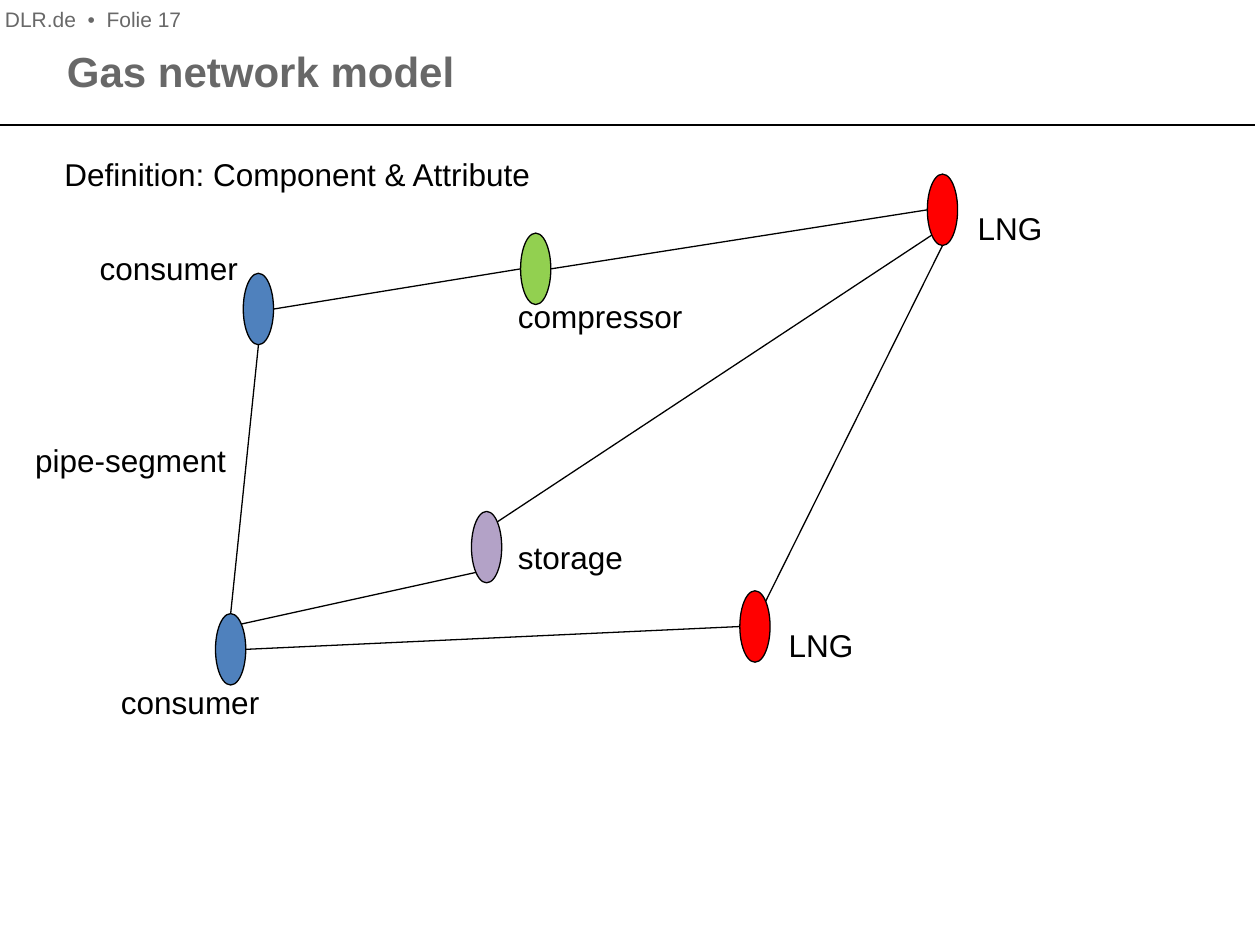
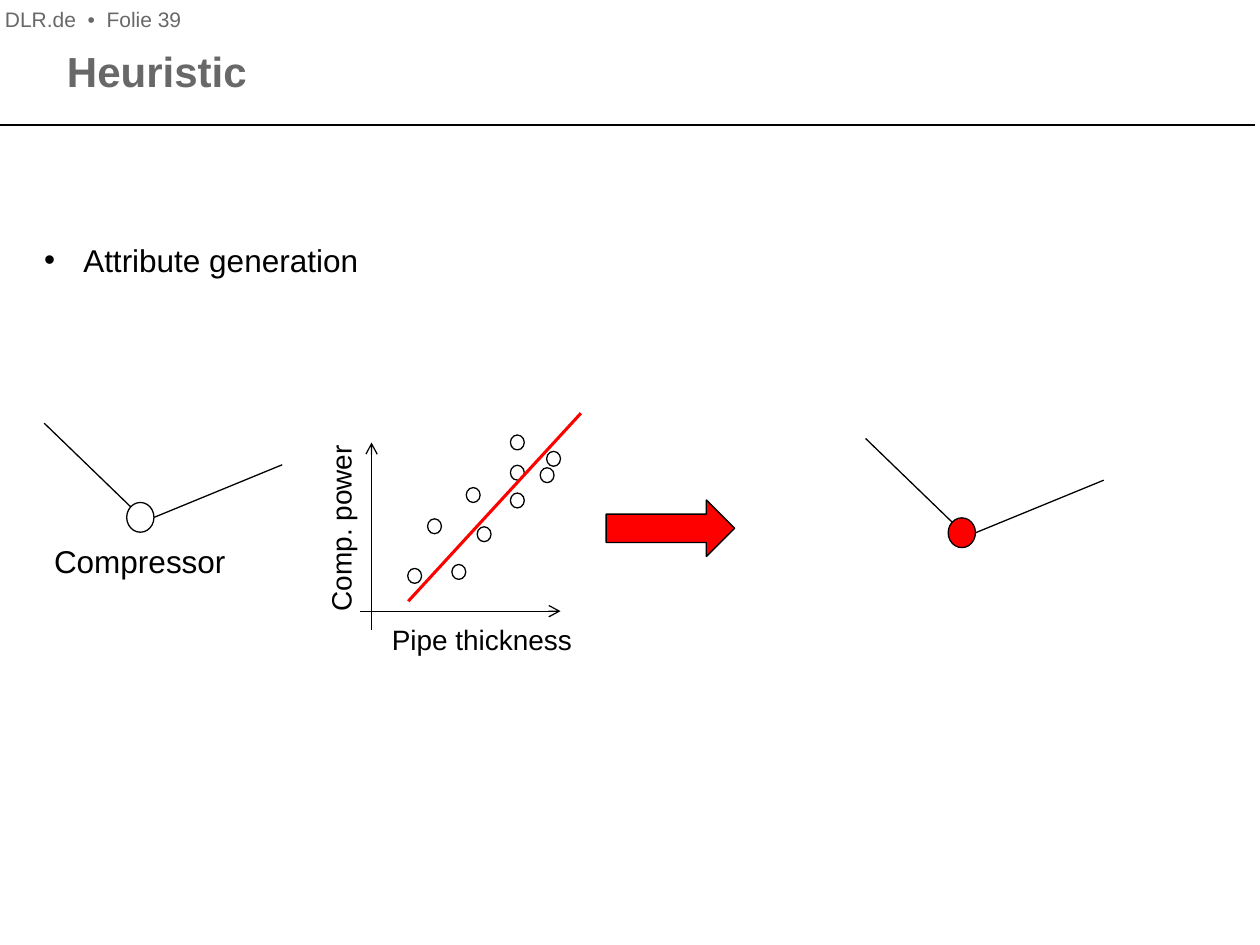
from math import cos, radians, sin

from lxml import etree
from pptx import Presentation
from pptx.dml.color import RGBColor
from pptx.enum import shapes, text
from pptx.oxml.ns import qn
from pptx.util import Cm, Pt

# Shared look
FONT, BLACK, GREY, RED = "Arial", "000000", "686868", "FF0000"
BLUE, GREEN, PURPLE = "4F81BD", "92D050", "B3A2C7"
SLIDE_W, SLIDE_H = 25.4, 19.05
TITLE_BOX = (1.35, 0.91, 22.7, 1.4)
FOOTER_BOX = (0.1, 0.13, 4.34, 0.38)
RULE = ((-0.1, 2.52), (25.3, 2.52))
LABEL_H, AXIS_LABEL_H = 0.76, 0.69

# Gas network: name -> centre, colour (cm)
NODE_SIZE = (0.61, 1.44)
NODES = {
    "north consumer": ((5.21, 6.23), BLUE),
    "storage": ((9.81, 11.03), PURPLE),
    "compressor": ((10.8, 5.42), GREEN),
    "south consumer": ((4.65, 13.09), BLUE),
    "south LNG": ((15.22, 12.63), RED),
    "north LNG": ((19, 4.23), RED),
}
# Each pipe runs from one node and compass side to another
PIPES = [
    ("north consumer", "E", "compressor", "W"),
    ("compressor", "E", "north LNG", "W"),
    ("north LNG", "SW", "storage", "NE"),
    ("north LNG", "S", "south LNG", "NE"),
    ("north consumer", "S", "south consumer", "N"),
    ("south consumer", "NE", "storage", "SW"),
    ("south consumer", "E", "south LNG", "W"),
]
NETWORK_LABELS = [  # wording, left, top, width
    ("Definition: Component & Attribute", 1.3, 3.12, 9.47),
    ("LNG", 19.71, 4.22, 1.32),
    ("LNG", 15.9, 12.62, 1.32),
    ("storage", 10.44, 10.85, 2.13),
    ("compressor", 10.44, 5.99, 3.45),
    ("consumer", 2.01, 5.03, 2.82),
    ("consumer", 2.44, 13.77, 2.82),
    ("pipe-segment", 0.71, 8.89, 3.89),
]

# Heuristic: joints with two pipes, and a scatter with its trend
JOINT_SIZE, SAMPLE_SIZE = (0.55, 0.6), (0.28, 0.3)
JOINTS = [((2.83, 10.43), None), ((19.39, 10.74), RED)]
JOINT_PIPES = [((-1.94, -1.9), "NW"), ((2.86, -1.06), "E")]  # far end, side
SAMPLES = [
    (10.43, 8.92), (11.16, 9.25), (10.43, 9.53), (11.03, 9.58), (10.43, 10.09),
    (9.54, 9.98), (8.76, 10.61), (9.76, 10.77), (9.25, 11.53), (8.36, 11.61),
]
AXES = [((7.26, 12.32), (11.3, 12.32)), ((7.49, 12.7), (7.49, 8.92))]
TREND = ((8.23, 12.12), (11.71, 8.33))
RESULT_ARROW = (12.22, 10.08, 2.59, 1.14)

ANGLES = {"E": 0, "SE": 45, "S": 90, "SW": 135, "W": 180, "NW": 225, "N": 270, "NE": 315}


def colour(hex_code):
    return RGBColor.from_string(hex_code)


def rim(centre, size, side):
    """Point on an ellipse at a compass side."""
    angle = radians(ANGLES[side])
    return (centre[0] + size[0] / 2 * cos(angle), centre[1] + size[1] / 2 * sin(angle))


def write(frame, wording, size, shade=BLACK, bold=False, wrap=False, bullet=False):
    frame.word_wrap = wrap
    frame.auto_size = text.MSO_AUTO_SIZE.NONE
    frame.vertical_anchor = text.MSO_ANCHOR.TOP
    frame.margin_left = frame.margin_right = frame.margin_top = frame.margin_bottom = 0
    paragraph = frame.paragraphs[0]
    paragraph.text = wording
    paragraph.alignment = text.PP_ALIGN.LEFT
    if bullet:
        properties = paragraph._p.get_or_add_pPr()
        properties.set("marL", str(Cm(0.79)))
        properties.set("indent", str(-Cm(0.79)))
        etree.SubElement(properties, qn("a:buFont"), typeface=FONT)
        etree.SubElement(properties, qn("a:buChar"), char="•")
    font = paragraph.font
    font.name, font.size, font.bold = FONT, Pt(size), bold
    font.color.rgb = colour(shade)


def add_label(slide, wording, box, size=18, rotation=0, **style):
    label = slide.shapes.add_textbox(*map(Cm, box))
    label.rotation = rotation
    write(label.text_frame, wording, size, **style)


def add_line(slide, start, end, shade=BLACK, width=0.75, arrow=False):
    line = slide.shapes.add_connector(
        shapes.MSO_CONNECTOR.STRAIGHT, *map(Cm, (*start, *end)))
    line.line.color.rgb = colour(shade)
    line.line.width = Pt(width)
    if arrow:
        etree.SubElement(line.line._get_or_add_ln(), qn("a:tailEnd"), type="arrow")
    etree.SubElement(line._element.spPr, qn("a:effectLst"))


def add_outlined(slide, kind, box, fill):
    shape = slide.shapes.add_shape(kind, *map(Cm, box))
    shape.shadow.inherit = False
    if fill:
        shape.fill.solid()
        shape.fill.fore_color.rgb = colour(fill)
    else:
        shape.fill.background()
    shape.line.color.rgb = colour(BLACK)
    shape.line.width = Pt(0.75)


def add_ellipse(slide, centre, size, fill=None):
    corner = (centre[0] - size[0] / 2, centre[1] - size[1] / 2)
    add_outlined(slide, shapes.MSO_SHAPE.OVAL, (*corner, *size), fill)


def add_slide(deck, heading, number):
    slide = deck.slides.add_slide(deck.slide_layouts[5])
    title = slide.shapes.title
    title.left, title.top, title.width, title.height = map(Cm, TITLE_BOX)
    write(title.text_frame, heading, 24, GREY, bold=True, wrap=True)
    add_line(slide, *RULE)
    # Spaces around the bullet are no-break spaces beside ordinary ones
    add_label(slide, f"DLR.de  •  Folie {number}", FOOTER_BOX, 12, shade=GREY, wrap=True)
    return slide


def build_network(deck):
    slide = add_slide(deck, "Gas network model", 17)
    for centre, fill in NODES.values():
        add_ellipse(slide, centre, NODE_SIZE, fill)
    for first, first_side, second, second_side in PIPES:
        add_line(slide, rim(NODES[first][0], NODE_SIZE, first_side),
                 rim(NODES[second][0], NODE_SIZE, second_side))
    for wording, left, top, width in NETWORK_LABELS:
        add_label(slide, wording, (left, top, width, LABEL_H))


def build_heuristic(deck):
    slide = add_slide(deck, "Heuristic", 39)
    add_label(slide, "Attribute generation", (0.89, 4.85, 6.4, LABEL_H), bullet=True)

    # Joint before and after the attribute is generated
    for centre, fill in JOINTS:
        add_ellipse(slide, centre, JOINT_SIZE, fill)
        for (dx, dy), side in JOINT_PIPES:
            add_line(slide, (centre[0] + dx, centre[1] + dy), rim(centre, JOINT_SIZE, side))
    add_label(slide, "Compressor", (1.09, 10.92, 3.48, LABEL_H))

    # Scatter sketch
    for start, end in AXES:
        add_line(slide, start, end, arrow=True)
    add_label(slide, "Pipe thickness", (7.9, 12.55, 3.66, AXIS_LABEL_H), 16)
    add_label(slide, "Comp. power", (5.18, 10.29, 3.38, AXIS_LABEL_H), 16, rotation=270)
    for sample in SAMPLES:
        add_ellipse(slide, sample, SAMPLE_SIZE)
    add_line(slide, *TREND, shade=RED, width=1.75)
    add_outlined(slide, shapes.MSO_SHAPE.RIGHT_ARROW, RESULT_ARROW, RED)


def main():
    deck = Presentation()
    deck.slide_width, deck.slide_height = Cm(SLIDE_W), Cm(SLIDE_H)
    build_network(deck)
    build_heuristic(deck)
    deck.save("out.pptx")


if __name__ == "__main__":
    main()
